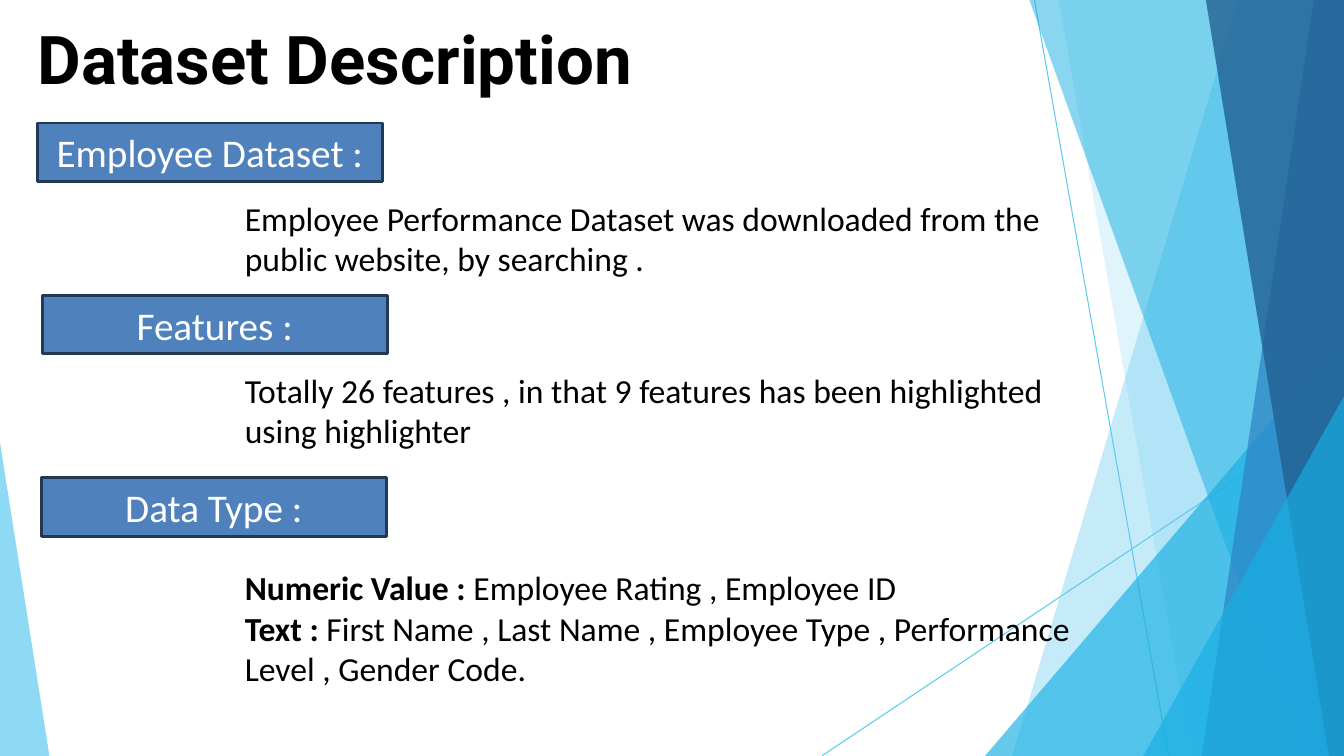
from lxml import etree
from pptx import Presentation, util as u
from pptx.dml.color import RGBColor
from pptx.enum import shapes, text
from pptx.oxml.ns import qn

TITLE = "Dataset Description"
TITLE_BOX = (2.78, 2.27, 91, 14.4)

# All places and sizes are percentages of the slide's width and height.
# Label, label left and top, body top, width and height, body paragraphs of (text, bold)
SECTIONS = [
    ("Employee Dataset :", (2.78, 16.27), (25.47, 66.24, 12.13),
     [[("Employee Performance Dataset was downloaded from the "
        "public website, by searching .", False)]]),
    ("Features :", (3.15, 39.07), (48.27, 61.89, 12.13),
     [[("Totally 26 features , in that 9 features has been highlighted "
        "using highlighter", False)]]),
    ("Data Type :", (3.08, 63.2), (74.4, 63.17, 17.47),
     [[("Numeric Value : ", True), ("Employee Rating , Employee ID", False)],
      [("Text : ", True), ("First Name , Last Name , Employee Type , "
                           "Performance Level , Gender Code.", False)]]),
]
LABEL_SIZE = (25.66, 7.73)
BODY_LEFT = 17.48

RAYS = [(76.97, 0, 86.95, 100), (100, 53.87, 61.14, 100)]
RAY_COLOR = "5FCAEE"
# Fill, opacity in percent, corners
FACETS = [
    ("5FCAEE", 36, [(100, 0), (92.12, 0), (75.32, 100), (100, 100)]),
    ("5FCAEE", 20, [(100, 0), (78.77, 0), (88.67, 100), (100, 100)]),
    ("17AFE3", 66, [(100, 44.4), (73.29, 100), (100, 100)]),
    ("17AFE3", 50, [(100, 0), (76.59, 0), (96.85, 100), (100, 100)]),
    ("2D83C3", 70, [(100, 0), (97.75, 0), (89.42, 100), (100, 100)]),
    ("226192", 80, [(100, 0), (89.72, 0), (98.87, 100), (100, 100)]),
    ("17AFE3", 66, [(100, 52.4), (85.07, 100), (100, 100)]),
    ("5FCAEE", 70, [(0, 58.53), (0, 100), (3.68, 100)]),
]

TITLE_FONT = dict(name="Roboto", size=u.Pt(48), bold=True)
LABEL_FONT = dict(name="Calibri", size=u.Pt(28))
BODY_FONT = dict(name="Calibri", size=u.Pt(24))

prs = Presentation()
prs.slide_width, prs.slide_height = u.Inches(13.33), u.Inches(7.5)


def rgb(color):
    return RGBColor.from_string(color)


def emu(*shares):
    """Turn alternating x and y percentages into slide lengths."""
    sides = (prs.slide_width, prs.slide_height)
    return [round(v / 100 * sides[i % 2]) for i, v in enumerate(shares)]


def add_run(p, words, color, **font):
    r = p.add_run()
    r.text = words
    r.font.color.rgb = rgb(color)
    for key, value in font.items():
        setattr(r.font, key, value)


def add_ray(slide, ends):
    sp = slide.shapes.add_connector(shapes.MSO_CONNECTOR.STRAIGHT, *emu(*ends))
    sp.line.color.rgb = rgb(RAY_COLOR)
    sp.line.width = u.Pt(0.75)
    etree.SubElement(sp._element.spPr, qn("a:effectLst"))


def add_facet(slide, color, opacity, corners):
    points = [emu(*c) for c in corners]
    builder = slide.shapes.build_freeform(*points[0])
    builder.add_line_segments(points[1:], close=True)
    sp = builder.convert_to_shape()
    sp.shadow.inherit = False
    sp.fill.solid()
    sp.fill.fore_color.rgb = rgb(color)
    sp.line.fill.background()
    clr = sp._element.spPr.find(qn("a:solidFill"))[0]
    etree.SubElement(clr, qn("a:alpha"), val=str(opacity * 1000))


def set_title(slide):
    sp = slide.shapes.title
    sp.left, sp.top, sp.width, sp.height = emu(*TITLE_BOX)
    tf = sp.text_frame
    for side in ("left", "top", "right", "bottom"):
        setattr(tf, "margin_" + side, 0)
    tf.vertical_anchor = text.MSO_ANCHOR.TOP
    p = tf.paragraphs[0]
    p.alignment = text.PP_ALIGN.LEFT
    add_run(p, TITLE, "000000", **TITLE_FONT)


def add_label(slide, words, corner):
    sp = slide.shapes.add_shape(shapes.MSO_SHAPE.RECTANGLE,
                                *emu(*corner, *LABEL_SIZE))
    sp.shadow.inherit = False
    sp.fill.solid()
    sp.fill.fore_color.rgb = rgb("4F81BD")
    sp.line.color.rgb = rgb("233953")
    sp.line.width = u.Pt(2)
    tf = sp.text_frame
    tf.vertical_anchor = text.MSO_ANCHOR.MIDDLE
    p = tf.paragraphs[0]
    p.alignment = text.PP_ALIGN.CENTER
    add_run(p, words, "FFFFFF", **LABEL_FONT)


def add_body(slide, box, paragraphs):
    tf = slide.shapes.add_textbox(*emu(BODY_LEFT, *box)).text_frame
    tf.word_wrap = True
    for i, runs in enumerate(paragraphs):
        p = tf.add_paragraph() if i else tf.paragraphs[0]
        for words, bold in runs:
            add_run(p, words, "000000", bold=bold, **BODY_FONT)


def main():
    slide = prs.slides.add_slide(prs.slide_layouts.get_by_name("Title Only"))
    for ends in RAYS:
        add_ray(slide, ends)
    for facet in FACETS:
        add_facet(slide, *facet)
    set_title(slide)
    for label, corner, box, paragraphs in SECTIONS:
        add_label(slide, label, corner)
        add_body(slide, box, paragraphs)
    prs.save("out.pptx")


if __name__ == "__main__":
    main()
